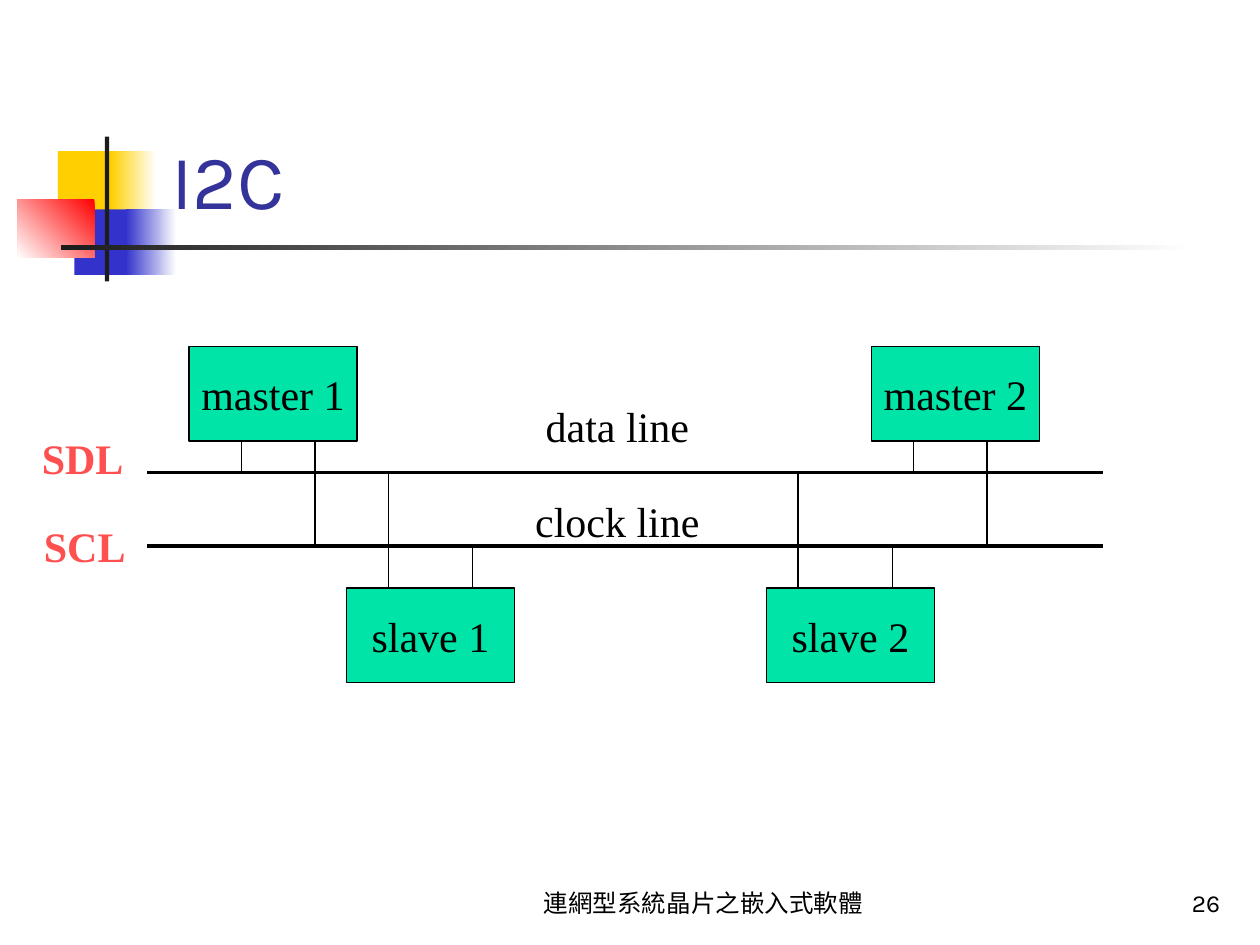
from dataclasses import dataclass
from typing import NamedTuple, Optional

from lxml import etree
from pptx import Presentation
from pptx import util as u
from pptx.dml.color import RGBColor
from pptx.enum import shapes, text
from pptx.oxml.ns import qn


@dataclass(frozen=True)
class Theme:
    """Colours, fonts and type sizes of the slide."""
    ink: str = "000000"
    paper: str = "FFFFFF"
    title: str = "333399"
    node: str = "00E4A8"
    signal: str = "FF5050"
    yellow: str = "FFCF01"
    blue: str = "3333CC"
    red: str = "FF0000"
    bar: str = "1C1C1C"
    heading_font: str = "Karla"
    diagram_font: str = "Times New Roman"
    title_size: int = 44
    diagram_size: int = 24
    footer_size: int = 14
    wire_width: float = 0.75
    bus_width: float = 2.25


class Box(NamedTuple):
    """Place and size in grid columns and rows."""
    column: float
    row: float
    columns: float
    rows: float


class Node(NamedTuple):
    """A bus device with the columns of its data and clock wires."""
    name: str
    column: float
    row: float
    data_column: float
    clock_column: float


class Ornament(NamedTuple):
    """A plain or fading rectangle of the title decoration."""
    box: Box
    color: str
    fade_to: Optional[str] = None
    angle: float = 180


class Label(NamedTuple):
    """A text box with its type style."""
    words: str
    box: Box
    font: str
    size: int
    color: str = "000000"
    bold: bool = False
    align: text.PP_ALIGN = text.PP_ALIGN.LEFT
    wrap: bool = False


THEME = Theme()
COLUMNS, ROWS = 120, 90
CELL = u.Inches(10) // COLUMNS
NODE_COLUMNS, NODE_ROWS = 16, 9
MASTER_ROW, SLAVE_ROW = 33, 56
DATA_ROW, CLOCK_ROW = 45, 52
BUS_START, BUS_END = 14, 105

ORNAMENTS = [
    Ornament(Box(5.52, 14.4, 5.76, 6.24), THEME.yellow),
    Ornament(Box(10.56, 14.4, 4.32, 6.24), THEME.paper, THEME.yellow),
    Ornament(Box(7.08, 19.95, 5.52, 6.24), THEME.blue),
    Ornament(Box(12, 19.95, 4.8, 6.24), THEME.paper, THEME.blue),
    Ornament(Box(1.68, 18.96, 7.32, 5.6), THEME.red, THEME.paper, 225),
    Ornament(Box(9.98, 13, 0.42, 13.8), THEME.bar),
    Ornament(Box(5.8, 23.32, 108, 0.46), THEME.paper, THEME.bar),
]
NODES = [
    Node("master 1", 18, MASTER_ROW, 23, 30),
    Node("master 2", 83, MASTER_ROW, 87, 94),
    Node("slave 1", 33, SLAVE_ROW, 37, 45),
    Node("slave 2", 73, SLAVE_ROW, 76, 85),
]
DIAGRAM = (THEME.diagram_font, THEME.diagram_size)
FOOTER = (THEME.heading_font, THEME.footer_size, THEME.ink, False)
LABELS = [
    Label("SCL", Box(3, 49, 10.2, 6), *DIAGRAM, THEME.signal, True),
    Label("SDL", Box(2.8, 40.56, 10.2, 6), *DIAGRAM, THEME.signal, True),
    Label("data line", Box(50.6, 37.56, 16.4, 6), *DIAGRAM,
          align=text.PP_ALIGN.CENTER),
    Label("clock line", Box(49.3, 46.56, 19, 6), *DIAGRAM,
          align=text.PP_ALIGN.CENTER),
    Label("I2C", Box(15.12, 2.8, 102.24, 19.2), THEME.heading_font,
          THEME.title_size, THEME.title, wrap=True),
    Label("連網型系統晶片之嵌入式軟體", Box(48, 82, 38, 6), *FOOTER,
          text.PP_ALIGN.CENTER, True),
    Label("26", Box(92.4, 82, 25, 6), *FOOTER, text.PP_ALIGN.RIGHT, True),
]


def grid(*cells: float) -> list[int]:
    """Turn grid cells into lengths."""
    return [round(cell * CELL) for cell in cells]


def rgb(color: str) -> RGBColor:
    """Read a hexadecimal colour."""
    return RGBColor.from_string(color)


def write(shape, label: Label) -> None:
    """Put styled words in a shape."""
    frame = shape.text_frame
    frame.word_wrap = label.wrap
    paragraph = frame.paragraphs[0]
    paragraph.text = label.words
    paragraph.alignment = label.align
    font = paragraph.font
    font.name, font.size, font.bold = label.font, u.Pt(label.size), label.bold
    font.color.rgb = rgb(label.color)


def draw_label(slide, label: Label) -> None:
    """Draw a text box; wrapped ones sit on their bottom edge."""
    shape = slide.shapes.add_textbox(*grid(*label.box))
    write(shape, label)
    if label.wrap:
        shape.text_frame.vertical_anchor = text.MSO_ANCHOR.BOTTOM
    else:
        shape.text_frame.auto_size = text.MSO_AUTO_SIZE.SHAPE_TO_FIT_TEXT


def draw_rectangle(slide, box: Box):
    """Draw a rectangle without shadow."""
    shape = slide.shapes.add_shape(shapes.MSO_SHAPE.RECTANGLE, *grid(*box))
    shape.shadow.inherit = False
    return shape


def draw_ornament(slide, ornament: Ornament) -> None:
    """Draw one piece of the title decoration."""
    shape = draw_rectangle(slide, ornament.box)
    shape.line.fill.background()
    if ornament.fade_to is None:
        shape.fill.solid()
        shape.fill.fore_color.rgb = rgb(ornament.color)
        return
    shape.fill.gradient()
    shape.fill.gradient_angle = ornament.angle
    for stop, color in zip(shape.fill.gradient_stops, (ornament.color, ornament.fade_to)):
        stop.color.rgb = rgb(color)


def draw_line(slide, start: tuple, end: tuple, width: float) -> None:
    """Draw a straight line between two grid points."""
    line = slide.shapes.add_connector(shapes.MSO_CONNECTOR.STRAIGHT, *grid(*start, *end))
    line.line.color.rgb = rgb(THEME.ink)
    line.line.width = u.Pt(width)
    etree.SubElement(line._element.spPr, qn("a:effectLst"))


def draw_node(slide, node: Node) -> None:
    """Draw a device and its wires to the data and clock lines."""
    box = Box(node.column, node.row, NODE_COLUMNS, NODE_ROWS)
    shape = draw_rectangle(slide, box)
    shape.fill.solid()
    shape.fill.fore_color.rgb = rgb(THEME.node)
    shape.line.color.rgb = rgb(THEME.ink)
    shape.line.width = u.Pt(THEME.wire_width)
    write(shape, Label(node.name, box, *DIAGRAM, align=text.PP_ALIGN.CENTER))
    shape.text_frame.vertical_anchor = text.MSO_ANCHOR.MIDDLE
    edge = node.row + NODE_ROWS if node.row < DATA_ROW else node.row
    for column, row in ((node.data_column, DATA_ROW), (node.clock_column, CLOCK_ROW)):
        draw_line(slide, (column, edge), (column, row), THEME.wire_width)


def main() -> None:
    """Build the bus slide."""
    presentation = Presentation()
    presentation.slide_width, presentation.slide_height = grid(COLUMNS, ROWS)
    slide = presentation.slides.add_slide(presentation.slide_layouts[6])
    for ornament in ORNAMENTS:
        draw_ornament(slide, ornament)
    for node in NODES:
        draw_node(slide, node)
    for row in (DATA_ROW, CLOCK_ROW):
        draw_line(slide, (BUS_START, row), (BUS_END, row), THEME.bus_width)
    for label in LABELS:
        draw_label(slide, label)
    presentation.save("out.pptx")


if __name__ == "__main__":
    main()
